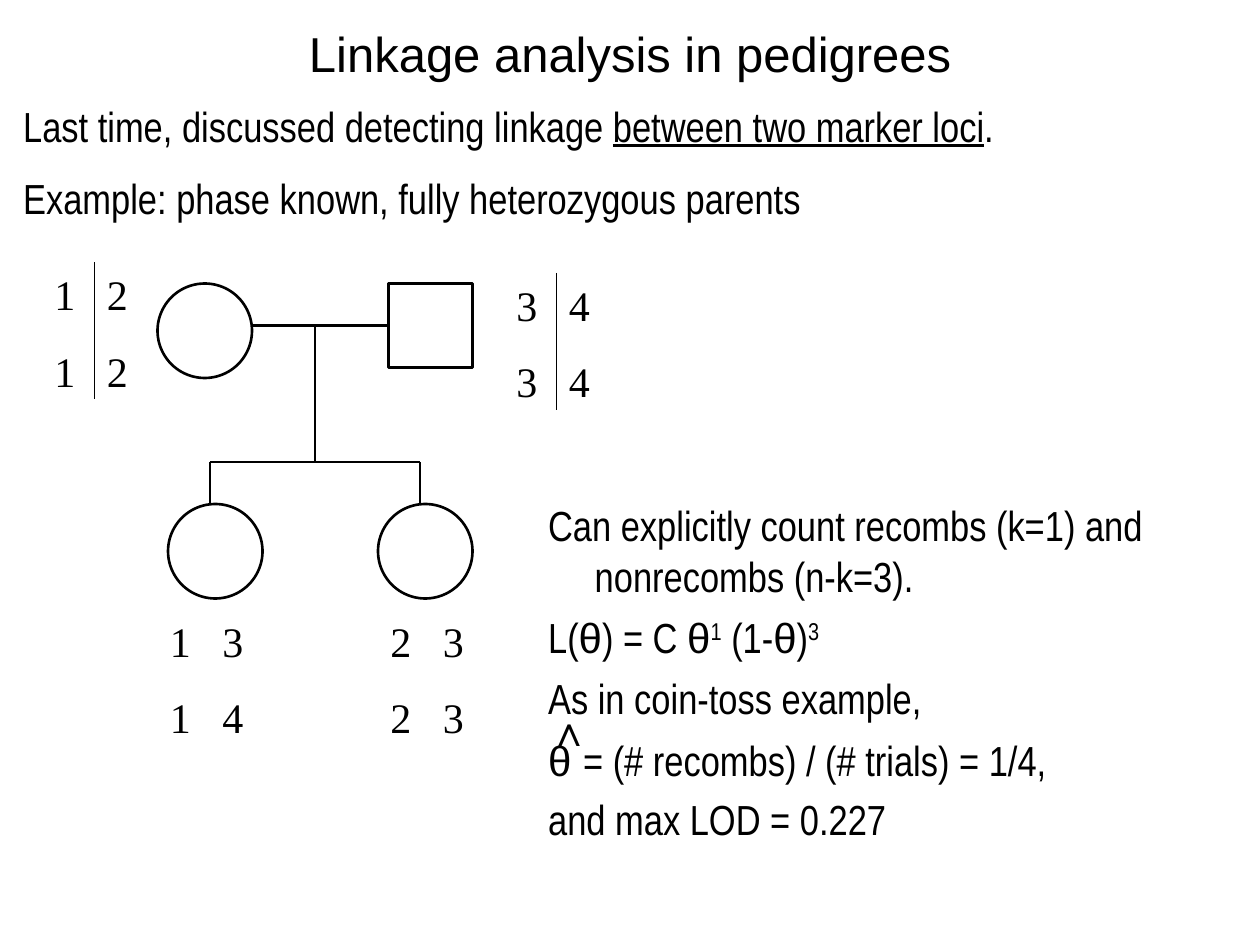
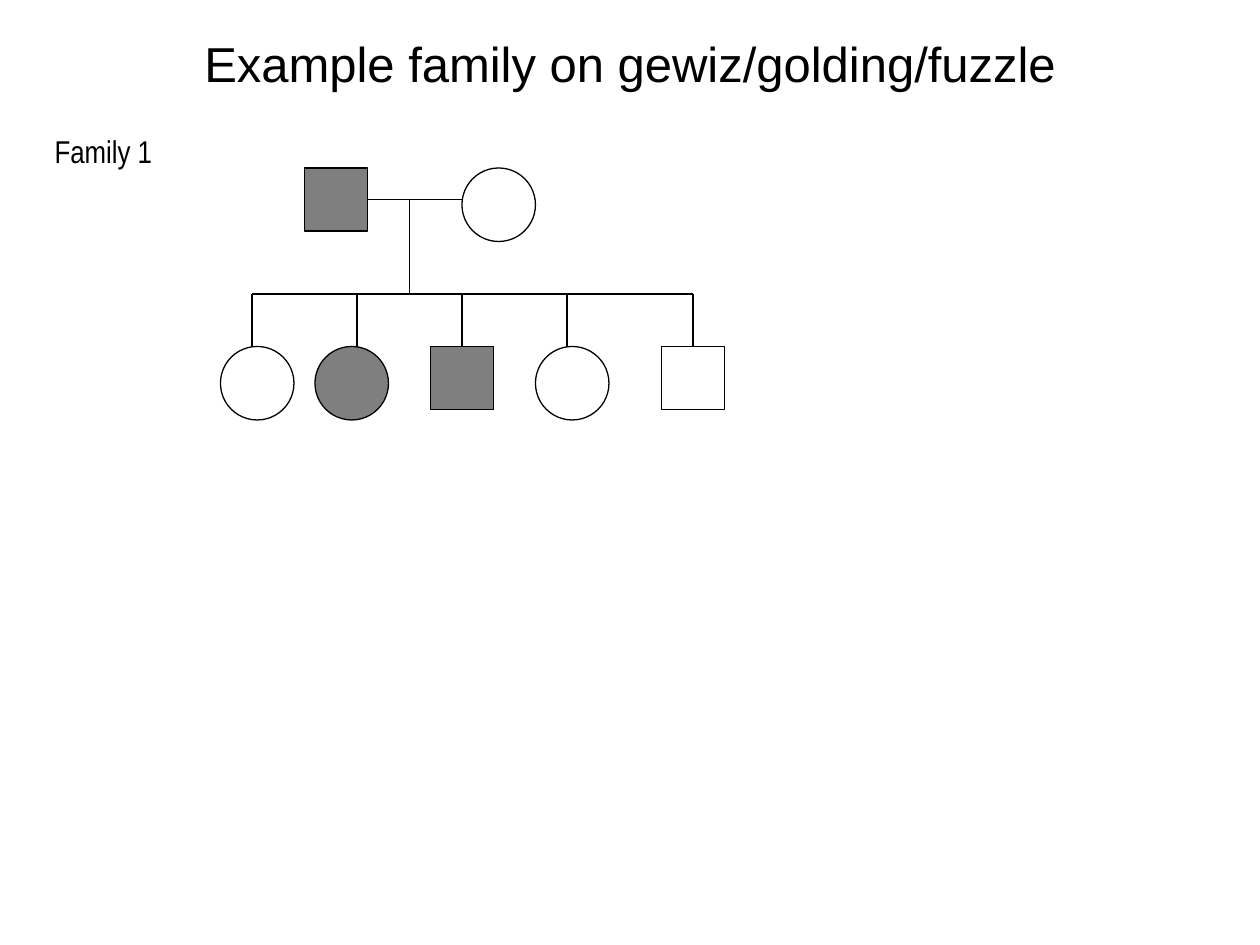
import pptx
import pptx.dml.color
import pptx.enum.shapes
import pptx.enum.text
import pptx.oxml
import pptx.util
from lxml import etree

COLS, ROWS = 120, 90
INK, AFFECTED = "000000", "7F7F7F"
SERIF, SANS, NARROW = "Times New Roman", "Arial", "Arial Narrow"
SHAPE = pptx.enum.shapes.MSO_SHAPE
UNDERLINE, SUPER, GREEK = {"u": True}, {"base": 30000}, {"font": SANS}


def rgb(hex_color):
    return pptx.dml.color.RGBColor.from_string(hex_color)


class Deck:
    """Style and current slide; lengths are in columns and rows of the grid."""

    def __init__(self):
        self.prs = pptx.Presentation()
        self.prs.slide_width = pptx.util.Inches(10)
        self.prs.slide_height = pptx.util.Inches(7.5)
        self.unit_x = self.prs.slide_width / COLS
        self.unit_y = self.prs.slide_height / ROWS

    def new_slide(self, layout, title, title_row, line_width):
        self.s = self.prs.slides.add_slide(self.prs.slide_layouts[layout])
        self.line_width = line_width
        sp = self.s.shapes.title
        self.place(sp, 5, title_row, 110, 6)
        tf = self.frame(sp, pptx.enum.text.MSO_ANCHOR.MIDDLE)
        tf.paragraphs[0].alignment = pptx.enum.text.PP_ALIGN.CENTER
        self.run(tf.paragraphs[0], title, 28, SANS)

    def box(self, *cells):
        return [round(cell * unit) for cell, unit in
                zip(cells, (self.unit_x, self.unit_y) * 2)]

    def place(self, sp, *cells):
        sp.left, sp.top, sp.width, sp.height = self.box(*cells)

    def frame(self, sp, anchor=pptx.enum.text.MSO_ANCHOR.TOP):
        tf = sp.text_frame
        tf.word_wrap = True
        tf.auto_size = pptx.enum.text.MSO_AUTO_SIZE.NONE
        tf.vertical_anchor = anchor
        return tf

    def run(self, p, text, size, font, u=False, base=0):
        r = p.add_run()
        r.text = text
        r.font.size = pptx.util.Pt(size)
        r.font.name = font
        r.font.color.rgb = rgb(INK)
        if u:
            r.font.underline = True
        if base:
            r.font._element.set("baseline", str(base))

    def paragraph(self, tf, index, before, after=0, line=1.0):
        p = tf.add_paragraph() if index else tf.paragraphs[0]
        p.space_before = pptx.util.Pt(before)
        p.space_after = pptx.util.Pt(after)
        p.line_spacing = line
        return p

    def body(self, holder, cells, paragraphs, size=24, before=6, after=0):
        """Each paragraph is a list of (text, style) runs and its spacing."""
        sp = self.s.placeholders[holder]
        self.place(sp, *cells)
        tf = self.frame(sp)
        for i, (runs, spacing) in enumerate(paragraphs):
            p = self.paragraph(tf, i, **{"before": before, "after": after, **spacing})
            pPr = p._p.get_or_add_pPr()
            hang = pptx.util.Inches(0.37)
            pPr.set("marL", str(hang))
            pPr.set("indent", str(-hang))
            etree.SubElement(pPr, pptx.oxml.ns.qn("a:buNone"))
            for text, style in runs:
                self.run(p, text, size, **{"font": NARROW, **style})

    def genotype(self, col, row, *loci, phased=False):
        """Two alleles per locus, with a bar between them when phase is known."""
        tf = self.frame(self.s.shapes.add_textbox(*self.box(col, row, 10, 13.33)))
        for i, alleles in enumerate(loci):
            p = self.paragraph(tf, i, before=15)
            tabs = etree.SubElement(p._p.get_or_add_pPr(), pptx.oxml.ns.qn("a:tabLst"))
            etree.SubElement(tabs, pptx.oxml.ns.qn("a:tab"),
                             pos=str(round(5 * self.unit_x)), algn="l")
            self.run(p, "\t".join(alleles), 24, SERIF)
        if phased:
            self.line(col + 5, row, col + 5, row + 13, width=0.75)

    def person(self, kind, col, row, size, affected=False):
        sp = self.s.shapes.add_shape(kind, *self.box(col, row, size, size))
        sp.shadow.inherit = False
        if affected:
            sp.fill.solid()
            sp.fill.fore_color.rgb = rgb(AFFECTED)
        else:
            sp.fill.background()
        sp.line.color.rgb = rgb(INK)
        sp.line.width = pptx.util.Pt(self.line_width)

    def line(self, *ends, width=None):
        cn = self.s.shapes.add_connector(
            pptx.enum.shapes.MSO_CONNECTOR.STRAIGHT, *self.box(*ends))
        cn.line.color.rgb = rgb(INK)
        cn.line.width = pptx.util.Pt(width or self.line_width)
        etree.SubElement(cn._element.spPr, pptx.oxml.ns.qn("a:effectLst"))

    def descent(self, couple, stem, children, couple_row, sibling_row, child_row):
        """Join a couple to the columns of their children."""
        self.line(couple[0], couple_row, couple[1], couple_row)
        self.line(stem, couple_row, stem, sibling_row)
        self.line(children[0], sibling_row, children[-1], sibling_row)
        for col in children:
            self.line(col, sibling_row, col, child_row)


def linkage_slide(deck):
    deck.new_slide(3, "Linkage analysis in pedigrees", 2, 1.5)
    deck.body(1, (1, 9, 118, 18), [
        ([("Last time, discussed detecting linkage ", {}),
          ("between two marker loci", UNDERLINE), (".", {})], {}),
        ([("Example: phase known, fully heterozygous parents", {})], {}),
    ], after=6)
    theta = ("θ", GREEK)
    tight = {"before": 0, "line": 0.6}
    deck.body(2, (51, 47, 66, 36), [
        ([("Can explicitly count recombs (k=1) and nonrecombs (n-k=3).", {})], {}),
        ([("L(", {}), theta, (") = C ", {}), theta, ("1", SUPER),
          (" (1-", {}), theta, (")", {}), ("3", SUPER)], {}),
        ([("As in coin-toss example,", {})], {}),
        ([("∧", GREEK)], tight),
        ([("θ ", GREEK), ("= (# recombs) / (# trials) = 1/4,", {})], tight),
        ([("and max LOD = 0.227", {})], {}),
    ])
    for col, row in ((15, 27), (16, 48), (36, 48)):
        deck.person(SHAPE.OVAL, col, row, 9)
    deck.person(SHAPE.RECTANGLE, 37, 27, 8)
    deck.descent((24, 37), 30, (20, 40), 31, 44, 48)
    deck.genotype(4, 25, "12", "12", phased=True)
    deck.genotype(48, 26, "34", "34", phased=True)
    deck.genotype(15, 58, "13", "14")
    deck.genotype(36, 58, "23", "23")


def family_slide(deck):
    deck.new_slide(1, "Example family on gewiz/golding/fuzzle", 3, 0.75)
    deck.body(1, (4, 12, 111, 70), [([("Family 1", {})], {})],
              size=18, before=4.5, after=2.2)
    parents, children = 16, 33
    for col, row, affected in ((44, parents, False), (21, children, False),
                               (30, children, True), (51, children, False)):
        deck.person(SHAPE.OVAL, col, row, 7, affected)
    for col, row, affected in ((29, parents, True), (41, children, True),
                               (63, children, False)):
        deck.person(SHAPE.RECTANGLE, col, row, 6, affected)
    deck.descent((35, 44), 39, (24, 34, 44, 54, 66), 19, 28, children)


def main():
    deck = Deck()
    linkage_slide(deck)
    family_slide(deck)
    deck.prs.save("out.pptx")


if __name__ == "__main__":
    main()
